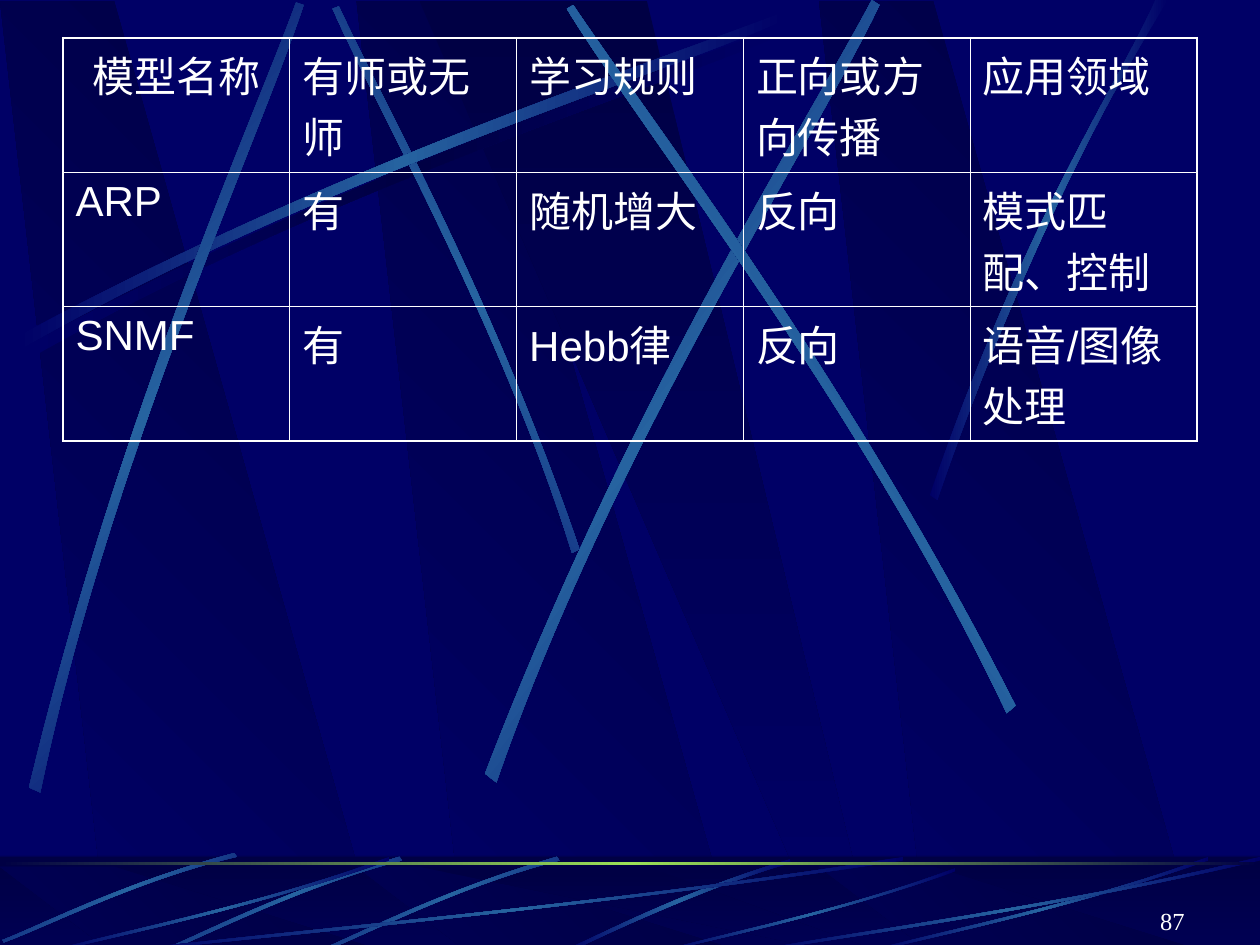
import dataclasses
import itertools

import pptx
import pptx.dml.color
import pptx.enum.shapes
import pptx.enum.text
import pptx.oxml
import pptx.oxml.ns
import pptx.util

NAVY = pptx.dml.color.RGBColor(0x00, 0x00, 0x66)
DARK = pptx.dml.color.RGBColor(0x00, 0x00, 0x44)
STEEL = pptx.dml.color.RGBColor(0x26, 0x63, 0xA0)
LIME = pptx.dml.color.RGBColor(0x9C, 0xE1, 0x57)
WHITE = pptx.dml.color.RGBColor(0xFF, 0xFF, 0xFF)

# The slide is a grid of 1000 columns by 750 rows
CELL = pptx.util.Inches(0.01)
COLUMNS, ROWS = 1000, 750
THIN, THICK = 0.45, 1.08

FADE = (DARK, NAVY)
GLOW = (NAVY, STEEL, NAVY)
SHADE = (NAVY, DARK, NAVY)
HORIZON = (DARK, LIME, DARK)


@dataclasses.dataclass(frozen=True)
class Box:
    left: float
    top: float
    width: float
    height: float

    def emu(self) -> list:
        return [round(value * CELL) for value in dataclasses.astuple(self)]

    def place(self, outline: list) -> list:
        """Turn points given as shares of the box into grid points."""
        return [(self.left + x * self.width, self.top + y * self.height) for x, y in outline]


@dataclasses.dataclass(frozen=True)
class Streak:
    """Two cubic curves, out and back: eight points."""
    points: list
    turn: float = 0
    colors: tuple = GLOW


# Outlines as shares of their box
PANEL = [(0.285, 1), (1, 1), (0.3, 0), (0, 0)]
WEDGE = [(0, 0), (0.9, 1), (1, 1), (0.5, 0)]
SWEEP = [(1, 0.04), (0.57, 0.57), (0.17, 0.85), (0.01, 1),
         (0, 0.99), (0.17, 0.81), (0.62, 0.51), (1, 0)]

PANEL_LEFTS = (283, 0, 650)
LONG_ARC = [(14, 267), (278, 125), (518, 51), (620, 10),
            (623, 16), (522, 61), (248, 143), (17, 277)]
SHORT_ARC = [(317, 680), (230, 705), (162, 740), (131, 753),
             (132, 755), (163, 743), (240, 703), (319, 683)]


def shifted(points: list, right: float, down: float) -> list:
    return [(x + right, y + down) for x, y in points]


UPPER_STREAKS = [
    Streak(shifted(LONG_ARC, 6, 8), colors=SHADE),
    Streak([(460, 436), (391, 234), (302, 77), (269, 5),
            (264, 7), (295, 79), (398, 258), (454, 439)], 45),
    Streak(LONG_ARC),
    Streak([(23, 625), (93, 334), (197, 105), (235, 2),
            (241, 4), (207, 108), (86, 368), (32, 629)], 311.7),
    Streak([(385, 614), (498, 320), (638, 102), (692, 0),
            (698, 4), (649, 108), (486, 355), (394, 621)], 321.6),
    Streak([(806, 560), (670, 293), (516, 95), (455, 4),
            (450, 7), (507, 101), (685, 325), (799, 566)], 34.8),
    Streak([(738, 393), (814, 173), (888, 66), (917, 0),
            (927, 0), (836, 145), (769, 322), (744, 397)]),
]
SWEEP_BOXES = [Box(100, 680, 617, 75), Box(42, 680, 267, 75), Box(527, 689, 231, 66),
               Box(692, 680, 267, 75), Box(600, 680, 400, 75)]
LOWER_STREAKS = [
    Streak([(627, 682), (537, 709), (477, 742), (448, 754),
            (453, 755), (490, 737), (571, 700), (628, 685)]),
    Streak(shifted(SHORT_ARC, 125, 0), 314.9),
    Streak(SHORT_ARC, 314.9),
    Streak([(186, 677), (99, 700), (33, 734), (2, 746),
            (3, 748), (34, 737), (110, 698), (188, 680)], 314.9),
    *[Streak(box.place(SWEEP)) for box in SWEEP_BOXES],
]

TABLE_BOX = Box(50, 30, 900, 320)
TABLE_TEXT = [
    ["模型名称", "有师或无师", "学习规则", "正向或方向传播", "应用领域"],
    ["ARP", "有", "随机增大", "反向", "模式匹配、控制"],
    ["SNMF", "有", "Hebb律", "反向", "语音/图像处理"],
]
TABLE_FONT = {"name": "Arial", "size": pptx.util.Pt(24), "bold": False}
NUMBER_FONT = {"name": "Times New Roman", "size": pptx.util.Pt(14)}


def paint_gradient(shape, colors: tuple, angle: float) -> None:
    shape.shadow.inherit = False
    shape.line.fill.background()
    shape.fill.gradient()
    stops = "".join(
        f'<a:gs pos="{100000 * index // (len(colors) - 1)}"><a:srgbClr val="{color}"/></a:gs>'
        for index, color in enumerate(colors))
    gradient = pptx.oxml.parse_xml(
        f'<a:gradFill {pptx.oxml.ns.nsdecls("a")} rotWithShape="1"><a:gsLst>{stops}</a:gsLst>'
        f'<a:lin ang="{round(angle % 360 * 60000)}" scaled="0"/></a:gradFill>')
    properties = shape._element.spPr
    properties.replace(properties.find(pptx.oxml.ns.qn("a:gradFill")), gradient)


def draw_outline(slide, points: list, colors: tuple, angle: float):
    corners = [(round(x * CELL), round(y * CELL)) for x, y in points]
    builder = slide.shapes.build_freeform(*corners[0], scale=1.0)
    builder.add_line_segments(corners[1:], close=True)
    shape = builder.convert_to_shape()
    paint_gradient(shape, colors, angle)
    return shape


def bend(shape) -> None:
    """Make cubic curves of segments 1 to 3 and 5 to 7 of the outline."""
    segments = list(shape._element.spPr.iter(pptx.oxml.ns.qn("a:lnTo")))
    for first in (0, 4):
        group = segments[first:first + 3]
        cubic = pptx.oxml.parse_xml(f'<a:cubicBezTo {pptx.oxml.ns.nsdecls("a")}/>')
        group[0].addprevious(cubic)
        for segment in group:
            cubic.append(segment[0])
            segment.getparent().remove(segment)


def draw_streaks(slide, streaks: list) -> None:
    for streak in streaks:
        bend(draw_outline(slide, streak.points, streak.colors, 180 - streak.turn))


def draw_panels(slide, top: float, height: float) -> None:
    for left in PANEL_LEFTS:
        draw_outline(slide, Box(left, top, 302, height).place(PANEL), FADE, 135)
    draw_outline(slide, Box(333, top, 361, height).place(WEDGE), FADE, 90)


def add_band(slide, top: float, height: float):
    return slide.shapes.add_shape(pptx.enum.shapes.MSO_SHAPE.RECTANGLE,
                                  *Box(0, top, COLUMNS, height).emu())


def draw_veil(slide) -> None:
    veil = add_band(slide, 679, 75)
    veil.shadow.inherit = False
    veil.line.fill.background()
    veil.fill.solid()
    veil.fill.fore_color.rgb = DARK
    color = next(veil._element.spPr.iter(pptx.oxml.ns.qn("a:srgbClr")))
    color.append(pptx.oxml.parse_xml(f'<a:alpha {pptx.oxml.ns.nsdecls("a")} val="50000"/>'))


def write(paragraph, text: str, font_format: dict, alignment) -> None:
    paragraph.text = text
    paragraph.alignment = alignment
    # Keep punctuation inside the line
    paragraph._p.get_or_add_pPr().set("hangingPunct", "0")
    for name, value in font_format.items():
        setattr(paragraph.font, name, value)
    paragraph.font.color.rgb = WHITE


def set_borders(cell, widths: dict) -> None:
    properties = cell._tc.get_or_add_tcPr()
    for index, (side, width) in enumerate(widths.items()):
        properties.insert(index, pptx.oxml.parse_xml(
            f'<a:ln{side} {pptx.oxml.ns.nsdecls("a")} w="{pptx.util.Pt(width)}">'
            f'<a:solidFill><a:srgbClr val="{WHITE}"/></a:solidFill></a:ln{side}>'))


def draw_table(slide) -> None:
    last_row, last_column = len(TABLE_TEXT) - 1, len(TABLE_TEXT[0]) - 1
    table = slide.shapes.add_table(last_row + 1, last_column + 1, *TABLE_BOX.emu()).table
    table.first_row = table.horz_banding = False
    align = pptx.enum.text.PP_ALIGN
    for row, column in itertools.product(range(last_row + 1), range(last_column + 1)):
        cell = table.cell(row, column)
        cell.fill.background()
        write(cell.text_frame.paragraphs[0], TABLE_TEXT[row][column], TABLE_FONT,
              align.CENTER if row == column == 0 else align.LEFT)
        on_edge = {"L": column == 0, "R": column == last_column,
                   "T": row == 0, "B": row == last_row}
        set_borders(cell, {side: THICK if edge else THIN for side, edge in on_edge.items()})


def main() -> None:
    presentation = pptx.Presentation()
    presentation.slide_width, presentation.slide_height = COLUMNS * CELL, ROWS * CELL
    slide = presentation.slides.add_slide(presentation.slide_layouts[6])
    slide.background.fill.solid()
    slide.background.fill.fore_color.rgb = NAVY

    # Upper backdrop
    draw_panels(slide, 1, 752)
    draw_streaks(slide, UPPER_STREAKS)

    # Footer backdrop
    paint_gradient(add_band(slide, 680, 75), FADE, 90)
    draw_panels(slide, 688, 66)
    draw_veil(slide)
    draw_streaks(slide, LOWER_STREAKS)
    paint_gradient(add_band(slide, 684, 2.4), HORIZON, 180)

    # Slide number and table
    number = slide.shapes.add_textbox(*Box(717, 714, 233, 22).emu()).text_frame
    number.word_wrap = True
    write(number.paragraphs[0], "87", NUMBER_FONT, pptx.enum.text.PP_ALIGN.RIGHT)
    draw_table(slide)
    presentation.save("out.pptx")


if __name__ == "__main__":
    main()
